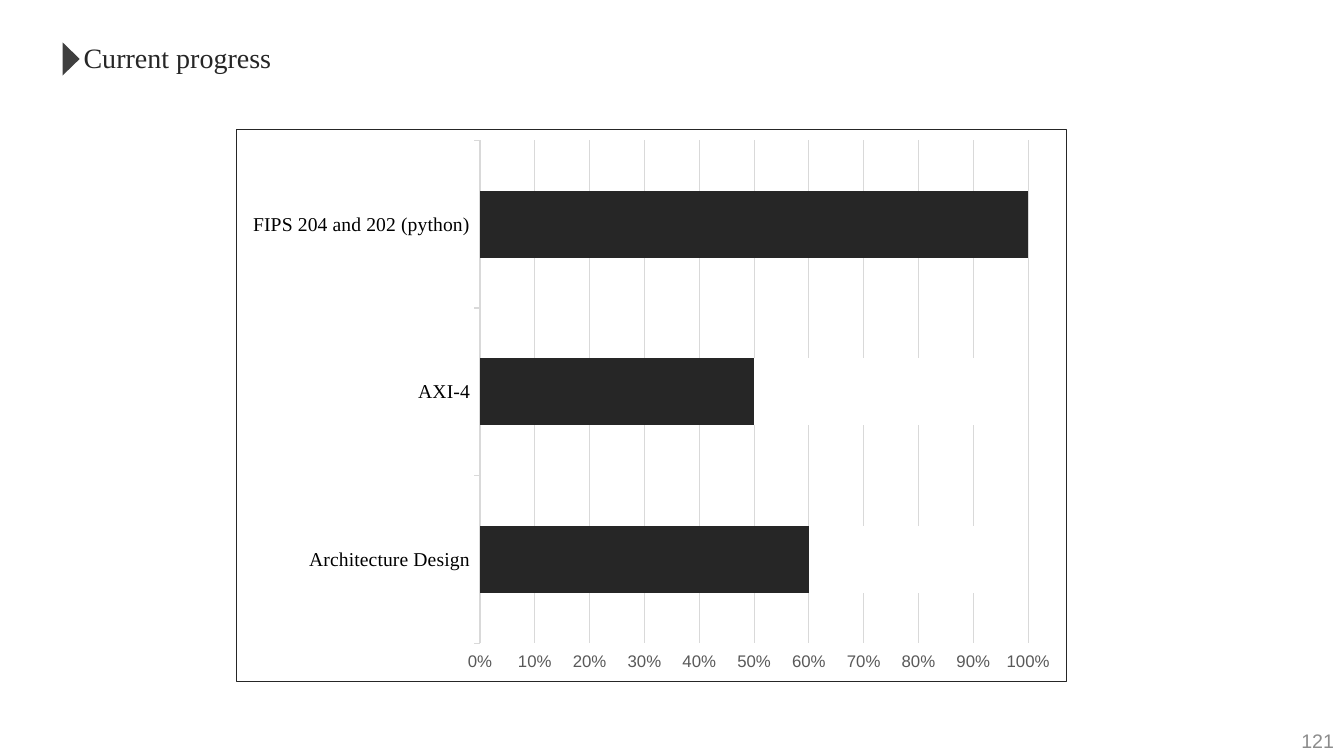
from lxml.etree import fromstring
from pptx import Presentation
from pptx.chart.data import CategoryChartData
from pptx.dml.color import RGBColor
from pptx.enum.chart import XL_CHART_TYPE, XL_TICK_MARK
from pptx.enum.shapes import MSO_SHAPE
from pptx.enum.text import MSO_ANCHOR, PP_ALIGN
from pptx.util import Inches, Pt

WIDTH, HEIGHT = 13.33, 7.5
DARK, GRAY, WHITE, RULE = "262626", "3F3F3F", "FFFFFF", "D9D9D9"
SERIF, SANS = "Times New Roman", "Arial"

TASKS = ["Architecture Design", "AXI-4", "FIPS 204 and 202 (python)"]
DONE = [60, 50, 100]
SERIES = {
    "Series 1": (DONE, DARK),
    "Series 2": ([100 - share for share in DONE], WHITE),
    "Series 3": ([None] * len(DONE), DARK),
}

BORDER = (
    '<c:spPr xmlns:c="http://schemas.openxmlformats.org/drawingml/2006/chart" '
    'xmlns:a="http://schemas.openxmlformats.org/drawingml/2006/main">'
    '<a:noFill/><a:ln w="9525"><a:solidFill><a:srgbClr val="{}"/></a:solidFill></a:ln>'
    "</c:spPr>"
)


def color(value):
    return RGBColor.from_string(value)


def set_values(target, values):
    for name, value in values.items():
        setattr(target, name, value)


def set_font(font, name, size, value):
    set_values(font, {"name": name, "size": Pt(size)})
    font.color.rgb = color(value)


def set_line(line, value):
    line.color.rgb = color(value)
    line.width = Pt(0.75)


def place(left, top, width, height):
    return [Inches(length) for length in (left, top, width, height)]


def add_text(page, text, area, font, frame_values, align=PP_ALIGN.LEFT):
    frame = page.shapes.add_textbox(*place(*area)).text_frame
    set_values(frame, frame_values)
    para = frame.paragraphs[0]
    para.alignment = align
    span = para.add_run()
    span.text = text
    set_font(span.font, *font)


def add_marker(page, area):
    marker = page.shapes.add_shape(MSO_SHAPE.ISOSCELES_TRIANGLE, *place(*area))
    set_values(marker, {"rotation": 90})
    marker.shadow.inherit = False
    marker.fill.solid()
    marker.fill.fore_color.rgb = color(GRAY)
    marker.line.fill.background()


def style_axes(chart):
    tasks, shares = chart.category_axis, chart.value_axis
    ticks = {"major_tick_mark": XL_TICK_MARK.OUTSIDE, "minor_tick_mark": XL_TICK_MARK.NONE}
    set_values(tasks, ticks | {"has_major_gridlines": False})
    set_values(shares, ticks | {
        "has_major_gridlines": True,
        "minimum_scale": 0,
        "maximum_scale": 1,
        "major_unit": 0.1,
    })
    set_font(tasks.tick_labels.font, SERIF, 14, "000000")
    set_font(shares.tick_labels.font, SANS, 12, "595959")
    set_values(shares.tick_labels, {"number_format": "0%", "number_format_is_linked": False})
    set_line(tasks.format.line, RULE)
    set_line(shares.major_gridlines.format.line, RULE)
    shares.format.line.fill.background()


def add_progress_chart(page, area):
    data = CategoryChartData()
    data.categories = TASKS
    for name, (values, _) in SERIES.items():
        data.add_series(name, values)
    chart = page.shapes.add_chart(XL_CHART_TYPE.BAR_STACKED_100, *place(*area), data).chart
    set_values(chart, {"has_legend": False, "has_title": False})
    set_font(chart.font, SANS, 10, "000000")
    plot = chart.plots[0]
    set_values(plot, {"gap_width": 150, "overlap": 100, "vary_by_categories": False})
    for series, (_, value) in zip(plot.series, SERIES.values()):
        series.format.fill.solid()
        series.format.fill.fore_color.rgb = color(value)
    style_axes(chart)
    chart.element.chart.addnext(fromstring(BORDER.format(DARK)))


def main():
    deck = Presentation()
    set_values(deck, {"slide_width": Inches(WIDTH), "slide_height": Inches(HEIGHT)})
    page = deck.slides.add_slide(deck.slide_layouts[6])
    add_text(page, "Current progress", (0.73, 0.35, 2.08, 0.44),
             (SERIF, 20, DARK), {"word_wrap": False})
    add_marker(page, (0.54, 0.5, 0.33, 0.17))
    add_progress_chart(page, (2.34, 1.28, 8.24, 5.49))
    add_text(page, "121", (WIDTH - 3, 7.15, 3, 0.4), (SANS, 14, "8C8C8C"),
             {"word_wrap": True, "vertical_anchor": MSO_ANCHOR.MIDDLE}, PP_ALIGN.RIGHT)
    deck.save("out.pptx")


if __name__ == "__main__":
    main()
